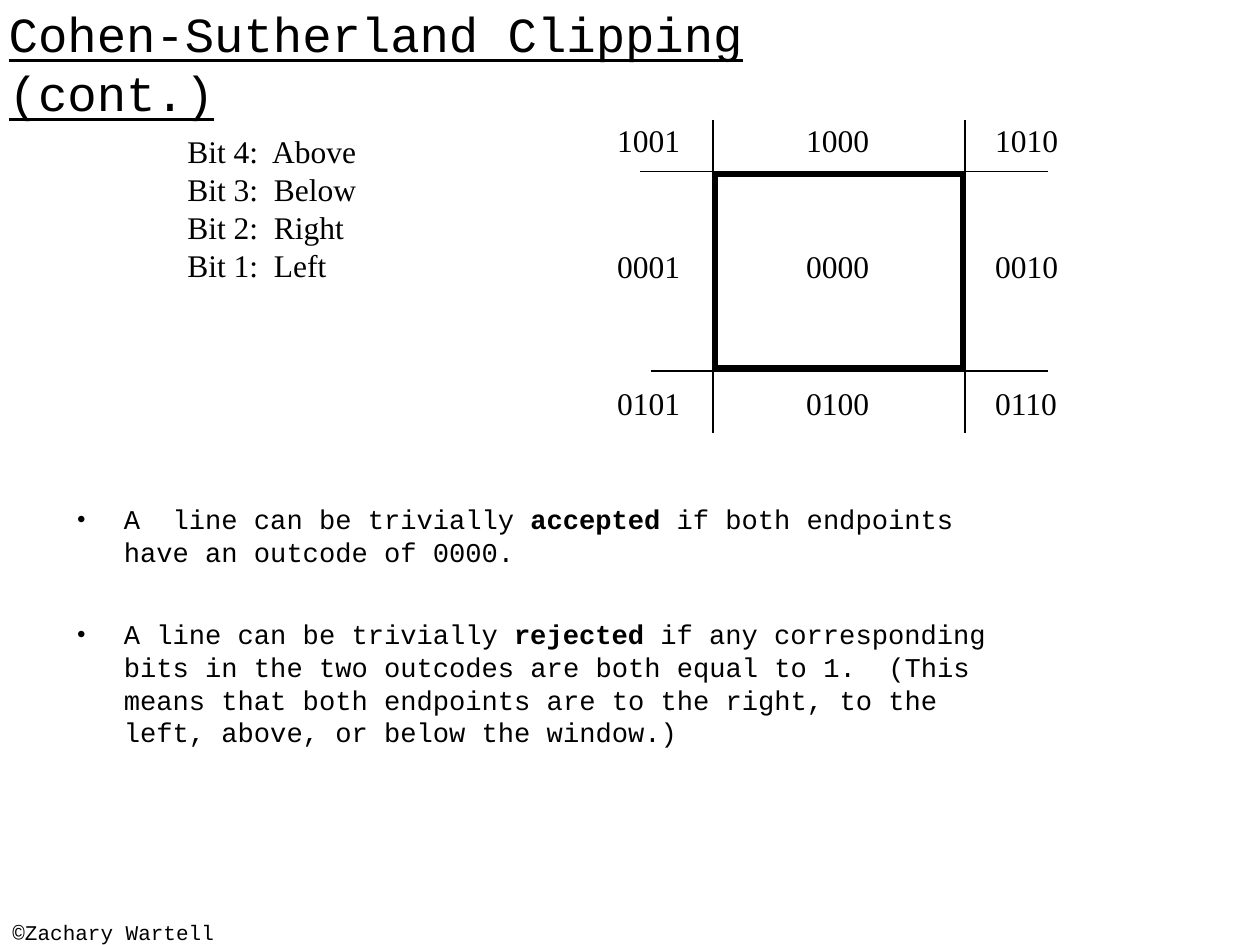
"""Build the Cohen-Sutherland clipping slide with its outcode grid."""
import pptx
import pptx.dml.color
import pptx.enum.shapes
import pptx.enum.text
import pptx.oxml
import pptx.oxml.ns
import pptx.util

Pt = pptx.util.Pt
COLORS = {"ink": "000000", "paper": "FFFFFF"}
INK = pptx.dml.color.RGBColor.from_string(COLORS["ink"])
MONO, SERIF = "Courier New", "Times New Roman"
NAMESPACE = pptx.oxml.ns.nsdecls("a")


def add_run(paragraph, text, font_name, size, bold=False):
    """Append one formatted run to a paragraph and return it."""
    run = paragraph.add_run()
    run.text = text
    run.font.name = font_name
    run.font.size = Pt(size)
    run.font.bold = bold
    run.font.color.rgb = INK
    return run


def add_text_box(left, top, width, height, wrap):
    """Add an empty top-anchored text box and return its text frame."""
    box = slide.shapes.add_textbox(Pt(left), Pt(top), Pt(width), Pt(height))
    box.text_frame.word_wrap = wrap
    box.text_frame.vertical_anchor = pptx.enum.text.MSO_ANCHOR.TOP
    return box.text_frame


presentation = pptx.Presentation()
presentation.slide_width, presentation.slide_height = Pt(720), Pt(540)
slide = presentation.slides.add_slide(presentation.slide_layouts[5])
slide.background.fill.solid()
slide.background.fill.fore_color.rgb = pptx.dml.color.RGBColor.from_string(COLORS["paper"])

title = slide.shapes.title
title.left, title.top, title.width, title.height = Pt(0), Pt(0), Pt(434), Pt(71.3)
title_frame = title.text_frame
title_frame.margin_left = title_frame.margin_right = Pt(5)
title_frame.margin_top = title_frame.margin_bottom = Pt(2.2)
title_frame.word_wrap = True
title_frame.auto_size = pptx.enum.text.MSO_AUTO_SIZE.NONE
title_frame.vertical_anchor = pptx.enum.text.MSO_ANCHOR.TOP
title_frame.paragraphs[0].alignment = pptx.enum.text.PP_ALIGN.LEFT
title_run = add_run(title_frame.paragraphs[0], "Cohen-Sutherland Clipping (cont.)", MONO, 28)
title_run.font.underline = True

copyright_frame = add_text_box(0, 522, 228, 18, True)
add_run(copyright_frame.paragraphs[0], "©Zachary Wartell", MONO, 12)

rules = [
    ("A  line can be trivially ", "accepted", " if both endpoints have an outcode of 0000."),
    ("A line can be trivially ", "rejected",
     " if any corresponding bits in the two outcodes are both equal to 1.  "
     "(This means that both endpoints are to the right, to the left, above, "
     "or below the window.)"),
]
rules_frame = add_text_box(36.7, 283.7, 540, 162, True)
for index, (before, keyword, after) in enumerate(rules):
    paragraph = rules_frame.paragraphs[0] if index == 0 else rules_frame.add_paragraph()
    paragraph.space_before = Pt(28.6 if index else 0)
    properties = paragraph._p.get_or_add_pPr()
    properties.set("marL", str(Pt(27)))
    properties.set("indent", str(Pt(-27)))
    for bullet in (f'<a:buFont {NAMESPACE} typeface="{SERIF}"/>', f'<a:buChar {NAMESPACE} char="•"/>'):
        properties.append(pptx.oxml.parse_xml(bullet))
    add_run(paragraph, before, MONO, 15.5)
    add_run(paragraph, keyword, MONO, 15.5, bold=True)
    add_run(paragraph, after, MONO, 15.5)

grid_lines = [
    (407.5, 68.4, 407.5, 247.5),
    (551.5, 68.4, 551.5, 247.5),
    (366, 98, 599, 98),
    (371.8, 212, 599, 212),
]
for ends in grid_lines:
    line = slide.shapes.add_connector(
        pptx.enum.shapes.MSO_CONNECTOR.STRAIGHT, *(Pt(value) for value in ends))
    line.line.color.rgb = INK
    line.line.width = Pt(1)
    line._element.spPr.append(pptx.oxml.parse_xml(f"<a:effectLst {NAMESPACE}/>"))

outcode_rows = [
    (65.5, ("1001", "1000", "1010")),
    (137.5, ("0001", "0000", "0010")),
    (216, ("0101", "0100", "0110")),
]
for top, outcodes in outcode_rows:
    for column, outcode in enumerate(outcodes):
        outcode_frame = add_text_box(345.6 + 108 * column, top, 50.4, 28.8, False)
        add_run(outcode_frame.paragraphs[0], outcode, SERIF, 18)

bits_frame = add_text_box(100, 72, 111.6, 93.6, False)
for index, side in enumerate(("Above", "Below", "Right", "Left")):
    paragraph = bits_frame.paragraphs[0] if index == 0 else bits_frame.add_paragraph()
    add_run(paragraph, f"Bit {4 - index}:  {side}", SERIF, 18)

clip_window = slide.shapes.add_shape(
    pptx.enum.shapes.MSO_SHAPE.RECTANGLE, Pt(409), Pt(99.4), Pt(141), Pt(111))
clip_window.shadow.inherit = False
clip_window.fill.background()
clip_window.line.color.rgb = INK
clip_window.line.width = Pt(3)

presentation.save("out.pptx")
